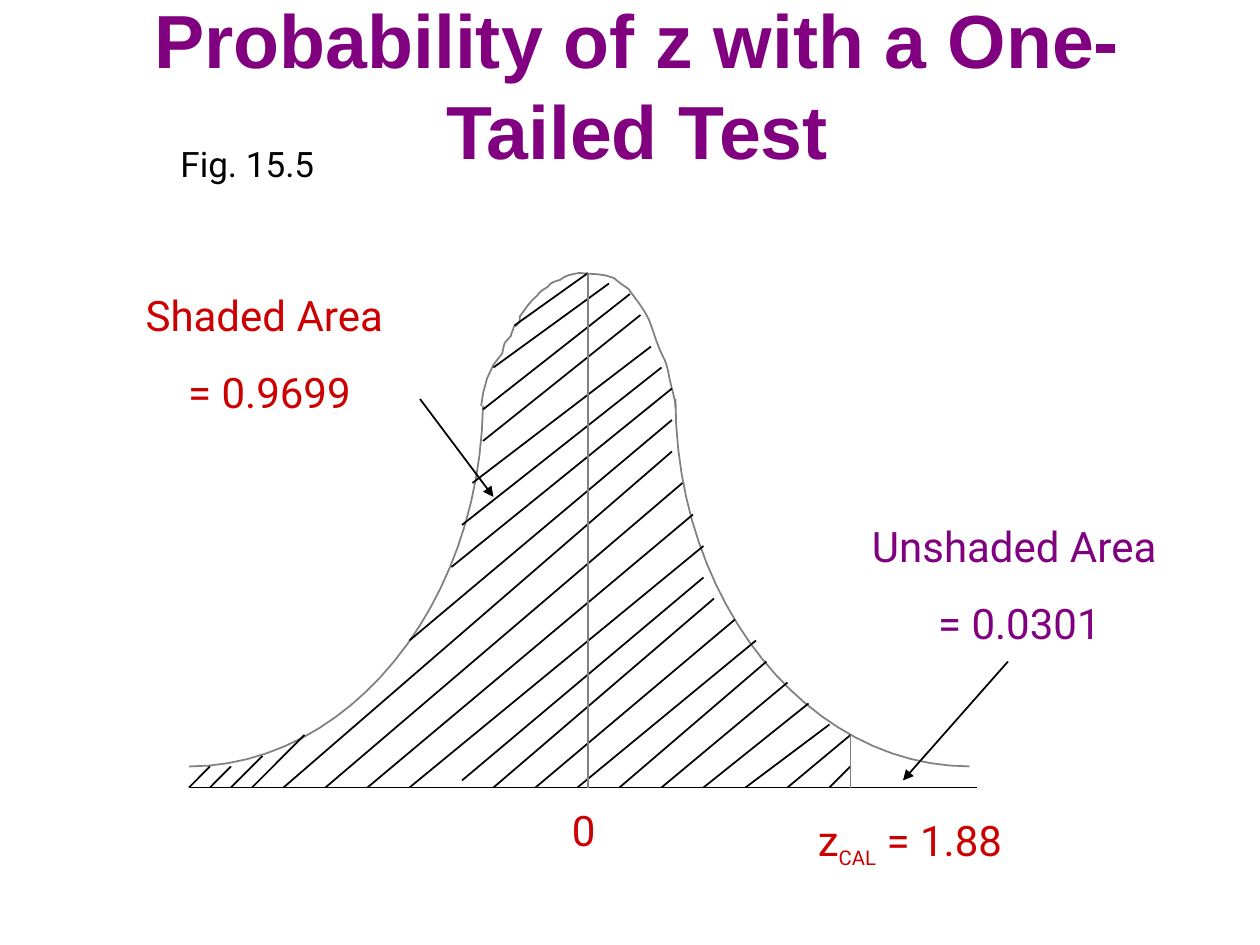
from lxml import etree
from pptx import Presentation
from pptx.dml.color import RGBColor
from pptx.enum.shapes import MSO_CONNECTOR
from pptx.enum.text import MSO_ANCHOR, MSO_AUTO_SIZE, PP_ALIGN
from pptx.oxml.ns import qn
from pptx.util import Pt

STRAIGHT = MSO_CONNECTOR.STRAIGHT
MIDDLE = MSO_ANCHOR.MIDDLE
FIXED, GROW = MSO_AUTO_SIZE.NONE, MSO_AUTO_SIZE.SHAPE_TO_FIT_TEXT
LEFT, CENTER = PP_ALIGN.LEFT, PP_ALIGN.CENTER
COLORS = {"purple": "800080", "red": "CC0000", "black": "000000", "gray": "808080"}
BASE = 450  # height of the z axis
MEAN, CUT = 336, 486  # places on the z axis

# Hatch lines that reach the axis: top x, top y, foot x
LONG = [
    (120, 438, 108), (132, 438, 120), (150, 432, 132), (174, 420, 144),
    (384, 258, 162), (390, 276, 186), (396, 294, 210), (402, 312, 234),
    (408, 342, 282), (420, 354, 306), (432, 366, 330), (438, 378, 354),
    (450, 390, 378), (462, 402, 402), (474, 414, 426), (486, 420, 450),
    (486, 438, 474),
]
# Hatch lines that stop short of it: top x, top y, foot x, foot y
SHORT = [
    (336, 156, 294, 186), (348, 162, 282, 210), (360, 168, 276, 234),
    (366, 180, 276, 252), (372, 198, 270, 276), (378, 210, 264, 300),
    (384, 222, 258, 324), (384, 240, 234, 366), (402, 330, 264, 446),
]
# Bell outline: a start point, then three Bezier points for each piece
TAILS = [
    [(108, 438), (199, 438), (274, 346), (276, 232)],
    [(554, 438), (462, 438), (386, 344), (386, 228)],
]
CROWN = [
    (275, 232), (276, 222), (279, 210), (287, 202),
    (289, 194), (287, 198), (292, 192), (292, 191), (293, 189), (293, 189),
    (295, 183), (292, 190), (297, 184), (297, 183), (297, 182), (297, 181),
    (300, 177), (303, 172), (307, 169), (309, 166), (310, 166), (313, 164),
    (315, 161), (317, 161), (320, 160), (324, 157), (326, 157), (331, 156),
    (339, 157), (344, 156), (351, 159), (353, 161), (356, 163), (359, 165),
    (362, 169), (369, 178), (371, 183), (374, 191), (376, 199), (380, 206),
    (382, 211), (382, 214), (383, 218), (384, 223), (386, 228), (386, 233),
]


def bend(a, b, c, d, t):
    """Point at t on a cubic Bezier curve."""
    u = 1 - t
    return tuple(Pt(u**3 * p + 3 * u * u * t * q + 3 * u * t * t * r + t**3 * s)
                 for p, q, r, s in zip(a, b, c, d))


class Pen:
    def __init__(self, slide, face="Roboto"):
        self.slide, self.face = slide, face

    def style(self, font, size, color, face=None, bold=False):
        font.name, font.size, font.bold = face or self.face, Pt(size), bold
        font.color.rgb = RGBColor.from_string(COLORS[color])

    def place(self, shape, box):
        shape.left, shape.top, shape.width, shape.height = map(Pt, box)

    def stroke(self, shape, color):
        shape.line.color.rgb = RGBColor.from_string(COLORS[color])
        shape.line.width = Pt(1)

    def title(self, text, box):
        shape = self.slide.shapes.title
        self.place(shape, box)
        frame = shape.text_frame
        frame.text = text
        frame.word_wrap, frame.auto_size = True, FIXED
        frame.vertical_anchor = MIDDLE
        para = frame.paragraphs[0]
        para.alignment, para.line_spacing = CENTER, Pt(52)
        self.style(para.font, 43, "purple", "Arial", True)

    def label(self, rows, box, color, size=24, align=CENTER, gap=15):
        frame = self.slide.shapes.add_textbox(*map(Pt, box)).text_frame
        frame.word_wrap, frame.auto_size = True, GROW
        frame.text = "\n".join(rows)
        for para in frame.paragraphs:
            para.alignment, para.space_before = align, Pt(gap)
            self.style(para.font, size, color)
        return frame.paragraphs[0]

    def line(self, x1, y1, x2, y2, color="black", arrow=False):
        shape = self.slide.shapes.add_connector(STRAIGHT, *map(Pt, (x1, y1, x2, y2)))
        self.stroke(shape, color)
        if arrow:
            etree.SubElement(shape.line._get_or_add_ln(), qn("a:headEnd"), type="triangle")
        etree.SubElement(shape._element.spPr, qn("a:effectLst"))

    def curve(self, points, steps):
        dots = [bend(*points[i:i + 4], n / steps)
                for i in range(0, len(points) - 1, 3) for n in range(1, steps + 1)]
        form = self.slide.shapes.build_freeform(*map(Pt, points[0]))
        form.add_line_segments(dots, close=False)
        shape = form.convert_to_shape()
        shape.fill.background()
        shape.shadow.inherit = False
        self.stroke(shape, "gray")


def main():
    deck = Presentation()
    deck.slide_width, deck.slide_height = Pt(720), Pt(540)
    pen = Pen(deck.slides.add_slide(deck.slide_layouts[5]))

    # Title and labels
    pen.title("Probability of z with a One-Tailed Test", (24, 24, 680, 48))
    pen.label(["Unshaded Area ", "= 0.0301"], (468, 294, 229, 80), "purple")
    pen.label(["Fig. 15.5"], (96, 78, 146, 31), "black", 20, LEFT, 0)
    pen.label(["Shaded Area", " = 0.9699"], (66, 162, 170, 80), "red")
    pen.label(["0"], (258, 456, 151, 36), "red")

    # Test value with its subscript
    para = pen.label(["z"], (444, 462, 152, 38), "red")
    sub = para.add_run()
    sub.text, sub.font.size = "CAL", Pt(20)
    sub.font._element.set("baseline", "-25000")
    para.add_run().text = " = 1.88"

    # Bell curve
    for tail in TAILS:
        pen.curve(tail, 24)
    pen.curve(CROWN, 4)

    # Hatching
    for x, y, foot in LONG:
        pen.line(x, y, foot, BASE)
    for ends in SHORT:
        pen.line(*ends)

    # Axis, mean and cut-off
    pen.line(108, BASE, 558, BASE)
    pen.line(MEAN, 156, MEAN, BASE, "gray")
    pen.line(CUT, 420, CUT, BASE, "gray")

    # Arrows, each from its tip
    pen.line(516, 446, 576, 378, arrow=True)
    pen.line(282, 284, 240, 228, arrow=True)

    deck.save("out.pptx")


if __name__ == "__main__":
    main()
